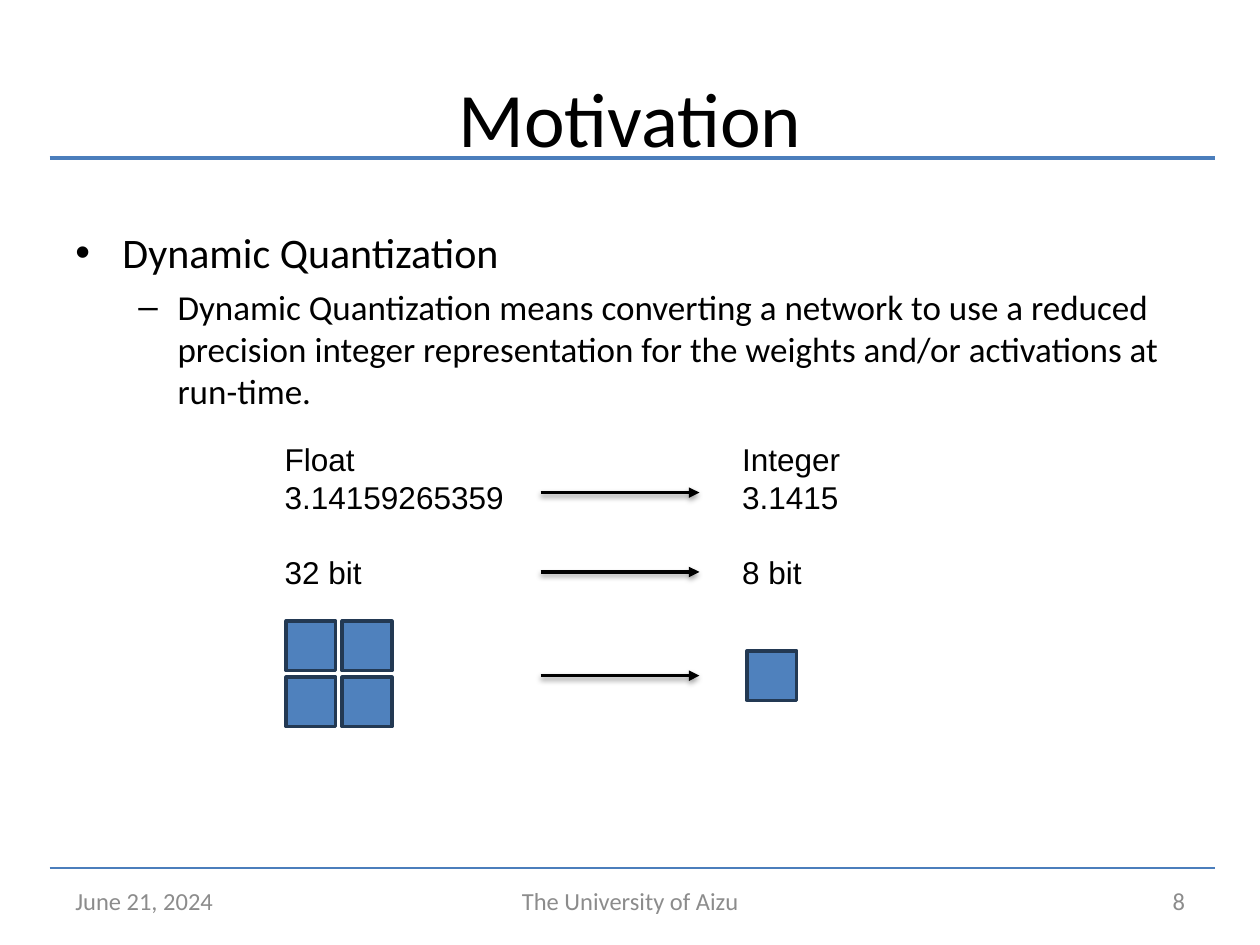
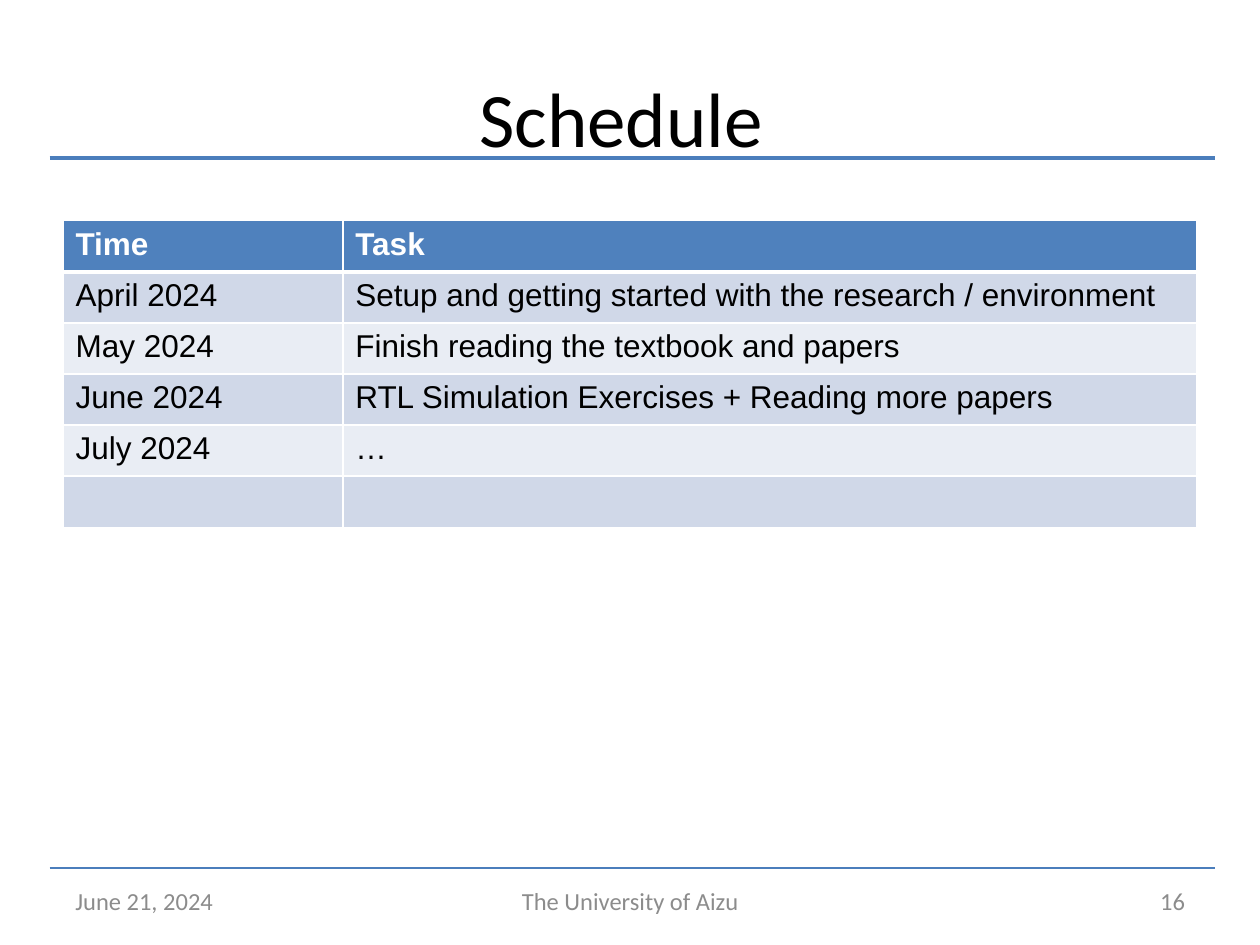
from lxml import etree
from pptx import Presentation
from pptx.dml.color import RGBColor
from pptx.enum.shapes import MSO_CONNECTOR, MSO_SHAPE
from pptx.enum.text import MSO_ANCHOR, PP_ALIGN
from pptx.oxml.ns import qn
from pptx.util import Cm, Pt

BLACK = RGBColor(0, 0, 0)
WHITE = RGBColor(255, 255, 255)
GREY = RGBColor(0x8C, 0x8C, 0x8C)
RULE = RGBColor(0x4B, 0x7E, 0xBC)
BLUE = RGBColor(0x4F, 0x81, 0xBD)
NAVY = RGBColor(0x23, 0x39, 0x53)
BANDS = RGBColor(0xD0, 0xD8, 0xE8), RGBColor(0xE9, 0xED, 0xF4)
LEFT, CENTER, RIGHT = PP_ALIGN.LEFT, PP_ALIGN.CENTER, PP_ALIGN.RIGHT
TOP, MIDDLE = MSO_ANCHOR.TOP, MSO_ANCHOR.MIDDLE
STRAIGHT, RECT = MSO_CONNECTOR.STRAIGHT, MSO_SHAPE.RECTANGLE
HEAD, BODY = "Calibri", "Arial"
MARGIN, WIDTH = 1.27, 22.86


def node(parent, tag, **attrs):
    item = etree.SubElement(parent, qn(tag))
    for key, value in attrs.items():
        item.set(key, str(value))
    return item


class Deck:
    """Holds the shared style and the slide being filled."""

    def __init__(self):
        self.show = Presentation()
        self.show.slide_width, self.show.slide_height = Cm(25.4), Cm(19.05)
        self.slide = None

    def start(self, title, page):
        """Add a slide with its title, rules and footer."""
        self.slide = self.show.slides.add_slide(self.show.slide_layouts[6])
        for y, width in ((17.5, 1.5), (3.18, 2.25)):
            self.line(1, y, 24.5, RULE, width)
        self.text((MARGIN, 0.76, WIDTH, 3.18), [title], 44, HEAD,
                  align=CENTER, anchor=MIDDLE)
        footer = ((MARGIN, 5.93, "June 21, 2024", LEFT),
                  (8.68, 8.05, "The University of Aizu", CENTER),
                  (18.21, 5.93, str(page), RIGHT))
        for x, width, words, align in footer:
            self.text((x, 17.65, width, 1.02), [words], 14, HEAD, GREY,
                      align, MIDDLE)

    def run(self, para, words, size, font=BODY, color=BLACK, bold=False):
        run = para.add_run()
        run.text = words
        run.font.size, run.font.name = Pt(size), font
        run.font.color.rgb, run.font.bold = color, bold

    def frame(self, place, wrap=True, anchor=TOP):
        box = self.slide.shapes.add_textbox(*map(Cm, place))
        frame = box.text_frame
        frame.word_wrap, frame.vertical_anchor = wrap, anchor
        return frame

    def text(self, place, lines, size=18, font=BODY, color=BLACK,
             align=LEFT, anchor=TOP, wrap=True):
        frame = self.frame(place, wrap, anchor)
        for i, words in enumerate(lines):
            para = frame.add_paragraph() if i else frame.paragraphs[0]
            para.alignment = align
            self.run(para, words, size, font, color)

    def bullets(self, place, items):
        """Fill a box with (mark, left, hang, size, words) items."""
        frame = self.frame(place)
        for i, (mark, left, hang, size, words) in enumerate(items):
            para = frame.add_paragraph() if i else frame.paragraphs[0]
            props = para._p.get_or_add_pPr()
            props.set("marL", str(Cm(left)))
            props.set("indent", str(-Cm(hang)))
            node(props, "a:buFont", typeface=BODY)
            node(props, "a:buChar", char=mark)
            if i:
                para.space_before = Pt(4.8)
            self.run(para, words, size, HEAD)

    def line(self, x, y, end, color, width):
        """Draw a level line and return it with its effect list."""
        line = self.slide.shapes.add_connector(
            STRAIGHT, Cm(x), Cm(y), Cm(end), Cm(y))
        line.line.color.rgb, line.line.width = color, Pt(width)
        return line, node(line._element.spPr, "a:effectLst")

    def arrow(self, x, y, end):
        line, effects = self.line(x, y, end, BLACK, 2)
        node(line.line._get_or_add_ln(), "a:tailEnd", type="triangle")
        shade = node(effects, "a:outerShdw", blurRad=Pt(3.1), dist=Pt(1.6),
                     dir=90 * 60000, rotWithShape=0)
        tint = node(shade, "a:srgbClr", val=BLACK)
        node(tint, "a:alpha", val=38000)

    def square(self, x, y, side=1):
        box = self.slide.shapes.add_shape(
            RECT, Cm(x), Cm(y), Cm(side), Cm(side))
        box.shadow.inherit = False
        box.fill.solid()
        box.fill.fore_color.rgb = BLUE
        box.line.color.rgb, box.line.width = NAVY, Pt(2)

    def edges(self, cell, top, bottom):
        props = cell._tc.get_or_add_tcPr()
        sides = (("a:lnL", 1), ("a:lnR", 1), ("a:lnT", top),
                 ("a:lnB", bottom))
        for tag, width in sides:
            edge = node(props, tag, w=Pt(width))
            node(node(edge, "a:solidFill"), "a:srgbClr", val=WHITE)

    def table(self, x, y, widths, height, rows):
        """Draw a banded table with a bold first row."""
        grid = self.slide.shapes.add_table(
            len(rows), len(widths), Cm(x), Cm(y),
            Cm(sum(widths)), Cm(height * len(rows))).table
        for col, width in zip(grid.columns, widths):
            col.width = Cm(width)
        for r, row in enumerate(rows):
            grid.rows[r].height = Cm(height)
            top, bottom = 3 if r == 1 else 1, 1 if r else 3
            for c, words in enumerate(row):
                cell = grid.cell(r, c)
                self.edges(cell, top, bottom)
                cell.fill.solid()
                cell.fill.fore_color.rgb = BANDS[(r - 1) % 2] if r else BLUE
                if words:
                    self.run(cell.text_frame.paragraphs[0], words, 18,
                             color=BLACK if r else WHITE, bold=not r)


def motive(deck):
    deck.start("Motivation", 8)
    deck.bullets((MARGIN, 4.45, WIDTH, 12.57), [
        ("•", 0.95, 0.95, 24, "Dynamic Quantization"),
        ("–", 2.06, 0.79, 20,
         "Dynamic Quantization means converting a network to use a reduced "
         "precision integer representation for the weights and/or "
         "activations at run-time."),
    ])
    wide, small = 5.49, 14.71
    deck.text((wide, 8.74, 5, 1.8), ["Float", "3.14159265359"])
    deck.text((small, 8.74, 2.51, 1.8), ["Integer", "3.1415"], wrap=False)
    deck.text((wide, 11.02, 2.08, 1.02), ["32 bit"], wrap=False)
    deck.text((small, 11.02, 1.73, 1.02), ["8 bit"], wrap=False)
    for y in (9.93, 11.53, 13.62):
        deck.arrow(10.9, y, 14.1)
    step = 1.13
    for i in range(4):
        deck.square(5.77 + i % 2 * step, 12.52 + i // 2 * step)
    deck.square(15.06, 13.12)


def plan(deck):
    deck.start("Schedule ", 16)
    deck.table(MARGIN, 4.45, (5.64, 17.22), 1.03, [
        ("Time", "Task"),
        ("April 2024",
         "Setup and getting started with the research / environment"),
        ("May 2024", "Finish reading the textbook and papers"),
        ("June 2024", "RTL Simulation Exercises + Reading more papers"),
        ("July 2024", "…"),
        ("", ""),
    ])


def main():
    deck = Deck()
    motive(deck)
    plan(deck)
    deck.show.save("out.pptx")


if __name__ == "__main__":
    main()
